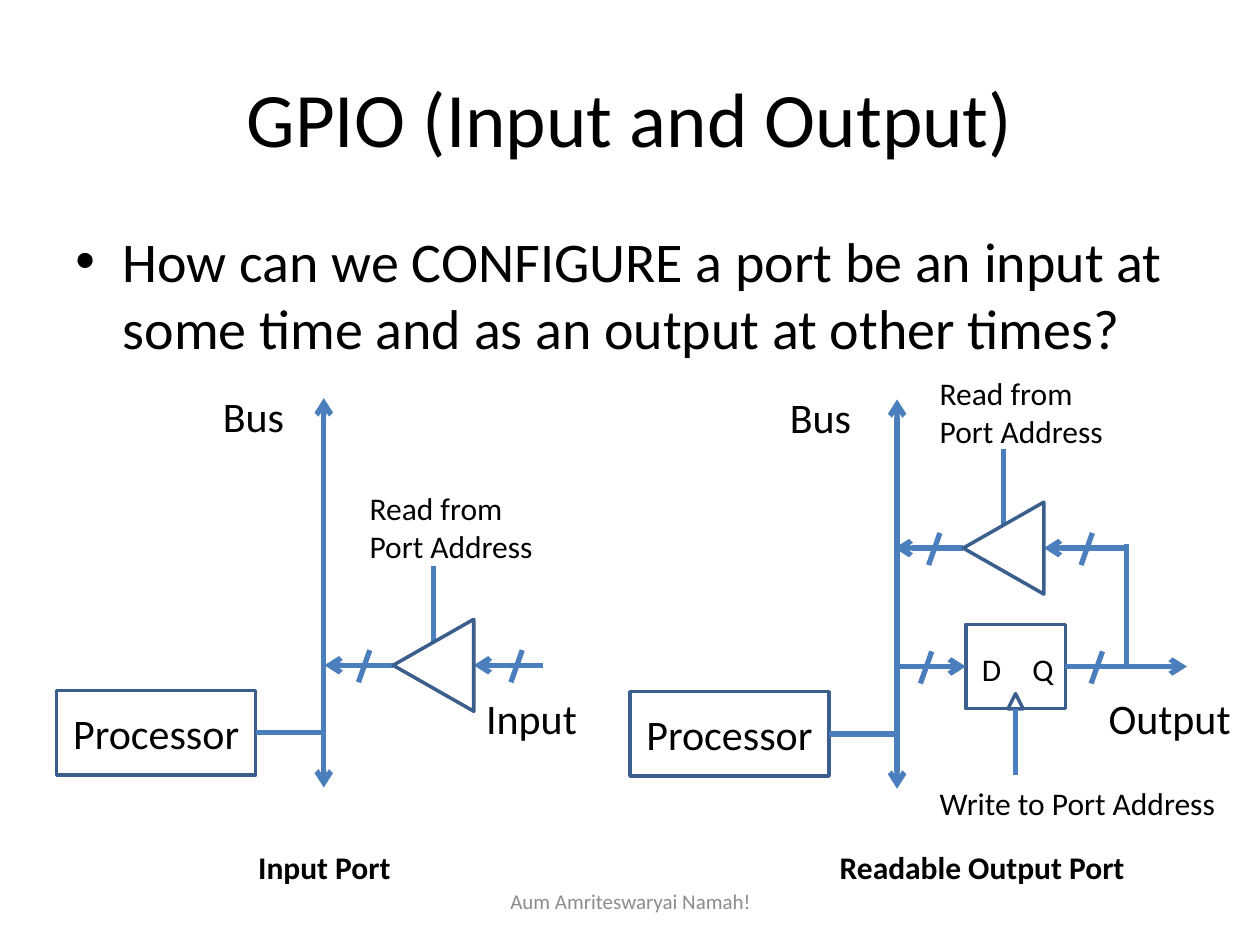
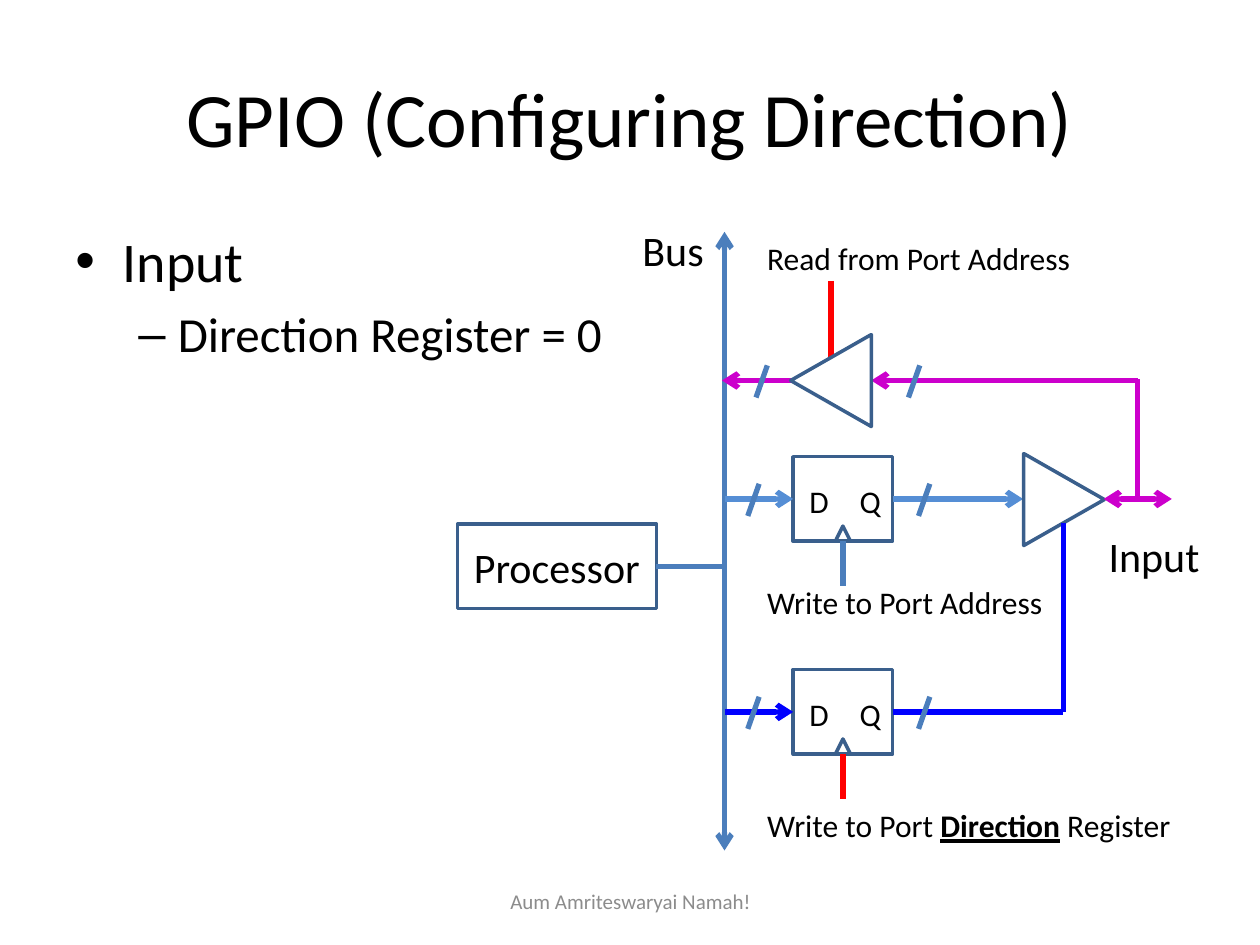
from lxml import etree
from pptx import Presentation
from pptx.dml.color import RGBColor
from pptx.enum.shapes import MSO_CONNECTOR, MSO_SHAPE
from pptx.enum.text import MSO_ANCHOR, PP_ALIGN
from pptx.oxml.ns import qn
from pptx.util import Inches, Pt

STRAIGHT = MSO_CONNECTOR.STRAIGHT
RECTANGLE, TRIANGLE = MSO_SHAPE.RECTANGLE, MSO_SHAPE.ISOSCELES_TRIANGLE
MIDDLE, TOP = MSO_ANCHOR.MIDDLE, MSO_ANCHOR.TOP
LEFT, CENTER = PP_ALIGN.LEFT, PP_ALIGN.CENTER
BOTTOM_SITE, LEFT_SITE, RIGHT_SITE = 2, 1, 3

BLACK = RGBColor(0x00, 0x00, 0x00)
GRAY = RGBColor(0x8C, 0x8C, 0x8C)
OUTLINE = RGBColor(0x3A, 0x5F, 0x8C)
STEEL = RGBColor(0x4B, 0x7E, 0xBC)
SKY = RGBColor(0x55, 0x8E, 0xD5)
MAGENTA = RGBColor(0xCC, 0x00, 0xCC)
RED = RGBColor(0xFF, 0x00, 0x00)
BLUE = RGBColor(0x00, 0x00, 0xFF)
FONT = "Calibri"

# The slide is a grid of 100 columns by 75 rows of square cells
SLIDE_WIDTH, SLIDE_HEIGHT = Inches(10), Inches(7.5)
CELL = SLIDE_WIDTH / 100

# Bullet levels: mark, left margin, hanging indent, text size
BULLETS = [("•", 3.75, 3.75, 32), ("–", 8.13, 3.13, 28)]

# Symbol sizes, in cells
PROCESSOR_WIDTH, BOX_HEIGHT = 15.8, 6.7
REGISTER_WIDTH, CLOCK_SIZE = 7.9, 1.2
BUFFER_BASE, BUFFER_DEPTH = 7.3, 6.4


def cells(*values):
    return [round(value * CELL) for value in values]


def add_span(para, text, size, color=BLACK, bold=False, underline=False):
    span = para.add_run()
    span.text = text
    font = span.font
    font.name, font.size, font.bold, font.underline = FONT, Pt(size), bold, underline
    font.color.rgb = color


def add_label(shapes, box, text, size, color=BLACK, bold=False, align=LEFT,
              anchor=TOP, wrap=True):
    """Text is a string, or a list of (text, emphasised) pairs."""
    label = shapes.add_textbox(*cells(*box))
    frame = label.text_frame
    frame.word_wrap, frame.vertical_anchor = wrap, anchor
    para = frame.paragraphs[0]
    para.alignment = align
    parts = [(text, False)] if isinstance(text, str) else text
    for part, emphasised in parts:
        add_span(para, part, size, color, bold or emphasised, emphasised)


def add_bullets(page, box, items):
    frame = page.shapes.add_textbox(*cells(*box)).text_frame
    frame.word_wrap = True
    for index, (level, text) in enumerate(items):
        para = frame.add_paragraph() if index else frame.paragraphs[0]
        mark, margin, hanging, size = BULLETS[level]
        para.level = level
        para.space_before = Pt(size * 0.2)
        add_span(para, text, size)
        layout = para._p.get_or_add_pPr()
        margin, hanging = cells(margin, hanging)
        layout.set("marL", str(margin))
        layout.set("indent", str(-hanging))
        etree.SubElement(layout, qn("a:buFont")).set("typeface", "Arial")
        etree.SubElement(layout, qn("a:buChar")).set("char", mark)


def add_page(deck, title_text):
    """Title and footer shared by all slides."""
    page = deck.slides.add_slide(deck.slide_layouts[5])
    title = page.shapes.title
    title.left, title.top, title.width, title.height = cells(5, 3, 90, 12.5)
    title.text_frame.vertical_anchor = MIDDLE
    para = title.text_frame.paragraphs[0]
    para.alignment = CENTER
    add_span(para, title_text, 44)
    add_label(page.shapes, (34.2, 69.5, 31.7, 4), "Aum Amriteswaryai Namah!", 12,
              GRAY, align=CENTER, anchor=MIDDLE)
    return page


class Circuit:
    """Circuit parts, placed in cells relative to the top of the bus."""

    def __init__(self, shapes, left, top):
        self.shapes, self.left, self.top = shapes, left, top

    def label(self, x, y, width, height, text, size=18, wrap=True):
        add_label(self.shapes, (self.left + x, self.top + y, width, height),
                  text, size, wrap=wrap)

    def symbol(self, kind, x, y, width, height):
        shape = self.shapes.add_shape(
            kind, *cells(self.left + x, self.top + y, width, height))
        shape.shadow.inherit = False
        shape.fill.background()
        shape.line.color.rgb, shape.line.width = OUTLINE, Pt(2)
        return shape

    def wire(self, start, end, color=STEEL, head=False, tail=False,
             begin=None, finish=None):
        """Begin and finish are optional (shape, site) joints."""
        line = self.shapes.add_connector(STRAIGHT, *cells(
            self.left + start[0], self.top + start[1],
            self.left + end[0], self.top + end[1]))
        if begin:
            line.begin_connect(*begin)
        if finish:
            line.end_connect(*finish)
        line.line.color.rgb, line.line.width = color, Pt(3)
        stroke = line.line._get_or_add_ln()
        for wanted, tag in ((head, "a:headEnd"), (tail, "a:tailEnd")):
            if wanted:
                etree.SubElement(stroke, qn(tag)).set("type", "arrow")
        etree.SubElement(line._element.spPr, qn("a:effectLst"))

    def slash(self, x, y):
        self.wire((x, y - 1.2), (x - 0.9, y + 1.35))

    def bus(self, length, label_x):
        """Bus with the processor wired to it."""
        processor = self.symbol(RECTANGLE, -21.2, 23.2, PROCESSOR_WIDTH, BOX_HEIGHT)
        frame = processor.text_frame
        frame.vertical_anchor = MIDDLE
        frame.paragraphs[0].alignment = CENTER
        add_span(frame.paragraphs[0], "Processor", 24)
        self.wire((0, 0), (0, length), head=True, tail=True)
        middle = 23.2 + BOX_HEIGHT / 2
        self.wire((-5.4, middle), (0, middle), begin=(processor, RIGHT_SITE))
        self.label(label_x, -1.1, 9.5, 5, "Bus", 24)

    def buffer(self, x, y, rotation):
        """Three-state buffer whose left side is at x and middle at y."""
        shape = self.symbol(TRIANGLE, x + (BUFFER_DEPTH - BUFFER_BASE) / 2,
                            y - BUFFER_DEPTH / 2, BUFFER_BASE, BUFFER_DEPTH)
        shape.rotation = rotation

    def read_path(self, tip, y, source, label_box, color=STEEL, enable=STEEL):
        """Buffer that drives the bus from a wire starting at source."""
        label_rise, label_width, label_height = label_box
        self.wire((tip - 5.45, y), (tip, y), color, head=True)
        self.wire((tip + BUFFER_DEPTH, y), (source, y), color, head=True)
        self.wire((tip + 3.2, y - 7.9), (tip + 3.2, y - 1.8), enable)
        self.buffer(tip, y, 270)
        for offset in (-1.85, 10.25):
            self.slash(tip + offset, y)
        self.label(tip - 2.85, y - label_rise, label_width, label_height,
                   "Read from Port Address")

    def write_path(self, y, target, clock_length, label_drop, text, label_width,
                   data=STEEL, clock=STEEL, arrow=True):
        """Register that takes data from the bus and drives a wire to target."""
        x, bottom = 5.45, y + BOX_HEIGHT / 2
        center, right = x + REGISTER_WIDTH / 2, x + REGISTER_WIDTH
        register = self.symbol(RECTANGLE, x, y - BOX_HEIGHT / 2,
                               REGISTER_WIDTH, BOX_HEIGHT)
        self.symbol(TRIANGLE, center - CLOCK_SIZE / 2, bottom - CLOCK_SIZE,
                    CLOCK_SIZE, CLOCK_SIZE)
        self.wire((0, y), (x, y), data, tail=True, finish=(register, LEFT_SITE))
        self.wire((right, y), (target, y), data, tail=arrow,
                  begin=(register, RIGHT_SITE))
        self.wire((center, bottom), (center, bottom + clock_length), clock,
                  begin=(register, BOTTOM_SITE))
        for offset, pin in ((0.3, "D"), (4.3, "Q")):
            self.label(x + offset, y - 1.8, 3.6, 4, pin, wrap=False)
        for offset in (-2.7, 10.85):
            self.slash(x + offset, y)
        self.label(2.4, y + label_drop, label_width, 4, text)


def draw_input_port(page, left, top):
    port = Circuit(page.shapes.add_group_shape().shapes, left, top)
    port.bus(30.9, -9)
    port.read_path(5.5, 21.2, 17.4, (14.5, 15.8, 7.1))
    port.label(11.9, 22.9, 12.4, 5, "Input", 24)
    add_label(page.shapes, (left - 8.1, top + 35.2, 16.3, 4), "Input Port", 18,
              bold=True, align=CENTER)


def draw_readable_output_port(page, left, top):
    port = Circuit(page.shapes.add_group_shape().shapes, left, top)
    port.bus(30.9, -9.5)
    port.write_path(21.2, 23, 5.3, 8.8, "Write to Port Address", 25.6)
    port.read_path(5.25, 11.8, 18.2, (14.3, 15.8, 7.1))
    # Feedback from the output to the read buffer
    port.wire((18.2, 21.2), (18.2, 11.5))
    port.label(15.8, 22.8, 12.2, 5, "Output", 24)
    add_label(page.shapes, (left - 7, top + 35.1, 27.5, 4), "Readable Output Port",
              18, bold=True, align=CENTER)


def draw_direction_circuit(page, left, top):
    port = Circuit(page.shapes, left, top)
    port.bus(49.1, -7.5)
    # Data register and direction register
    port.write_path(21.2, 23.7, 3.6, 6.2, "Write to Port Address", 26, data=SKY)
    direction = [("Write to Port ", False), ("Direction", True), (" Register", False)]
    port.write_path(38.1, 26.9, 3.6, 7, direction, 35.1, data=BLUE, clock=RED,
                    arrow=False)
    # Output buffer, enabled by the direction register
    port.buffer(23.75, 21.25, 90)
    port.wire((26.9, 38.1), (26.9, 23.1), BLUE)
    # Active input path
    port.read_path(5.25, 11.8, 32.8, (11.7, 27.1, 4), color=MAGENTA, enable=RED)
    port.wire((32.8, 21.4), (32.8, 11.7), MAGENTA)
    port.wire((35.5, 21.2), (30.1, 21.2), MAGENTA, head=True, tail=True)
    port.label(29.5, 23.2, 12.2, 5, "Input", 24)


def build_input_and_output(deck):
    page = add_page(deck, "GPIO (Input and Output)")
    add_bullets(page, (5, 17.5, 90, 49.5), [
        (0, "How can we CONFIGURE a port be an input at some time "
            "and as an output at other times?")])
    draw_readable_output_port(page, 71.2, 31.7)
    draw_input_port(page, 25.7, 31.6)


def build_configuring_direction(deck):
    page = add_page(deck, "GPIO (Configuring Direction)")
    add_bullets(page, (5, 17.5, 45, 49.5),
                [(0, "Input"), (1, "Direction Register = 0")])
    draw_direction_circuit(page, 57.5, 18.4)


def main():
    deck = Presentation()
    deck.slide_width, deck.slide_height = SLIDE_WIDTH, SLIDE_HEIGHT
    build_input_and_output(deck)
    build_configuring_direction(deck)
    deck.save("out.pptx")


if __name__ == "__main__":
    main()
